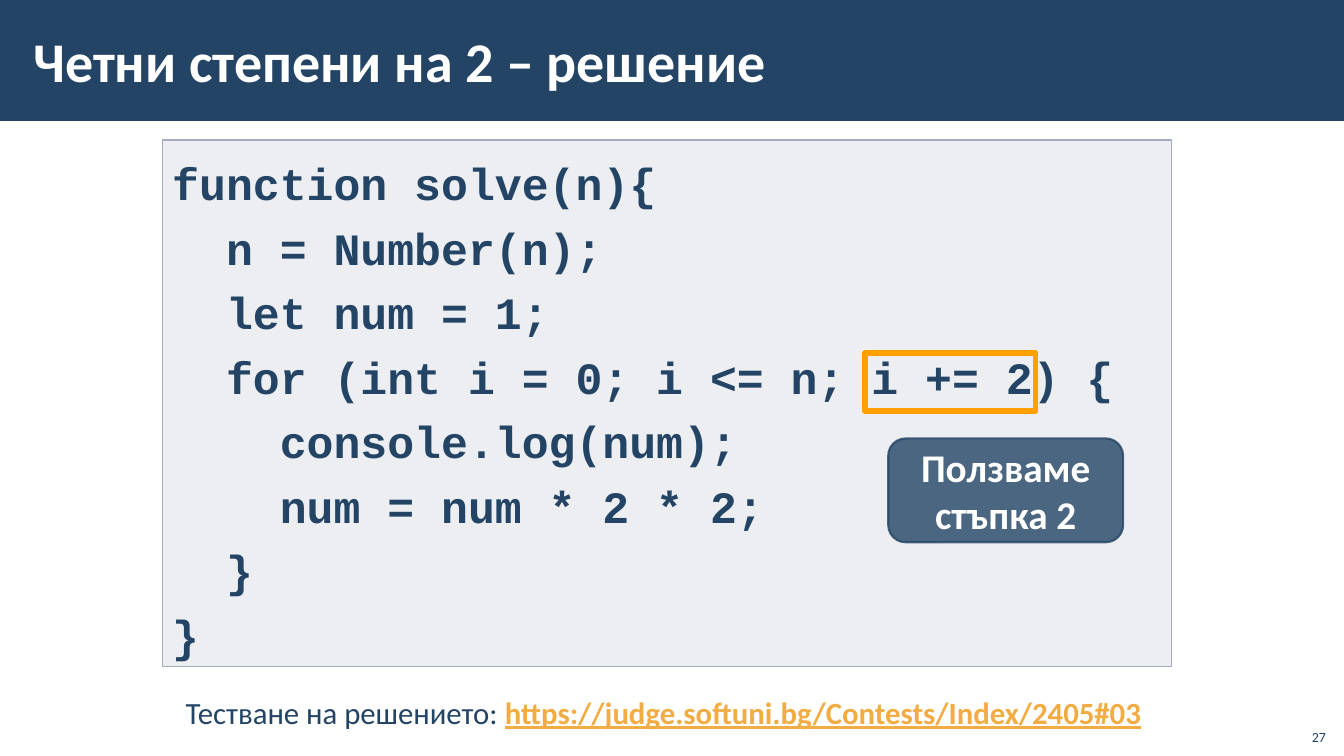
from lxml import etree
from pptx import Presentation
from pptx.dml.color import RGBColor
from pptx.enum.shapes import MSO_SHAPE
from pptx.enum.text import MSO_ANCHOR, MSO_AUTO_SIZE, PP_ALIGN
from pptx.oxml.ns import qn
from pptx.util import Inches, Pt

NAVY, GREY, ORANGE, AMBER, WHITE = "234465", "A3ABBC", "FFA000", "F2AC44", "FFFFFF"


def paint(color_format, color, alpha=100):
    color_format.rgb = RGBColor.from_string(color)
    if alpha < 100:
        color_node = color_format._xFill.find(qn("a:srgbClr"))
        etree.SubElement(color_node, qn("a:alpha"), val=str(alpha * 1000))


def write(paragraph, text, size, color, **style):
    run = paragraph.add_run()
    run.text = text
    for name, value in {"size": Pt(size), "name": "Calibri", **style}.items():
        setattr(run.font, name, value)
    paint(run.font.color, color)


prs = Presentation()
prs.slide_width, prs.slide_height = Inches(13.33), Inches(7.5)
slide = prs.slides.add_slide(prs.slide_layouts[5])
shapes = slide.shapes

# Panels: preset, place, fill, fill opacity, line, line width, line opacity
panels = [
    (MSO_SHAPE.RECTANGLE, (0, 0, 13.33, 1.2), NAVY, 100, None, 0, 100),
    (MSO_SHAPE.RECTANGLE, (1.61, 1.39, 10.01, 5.22), GREY, 20, GREY, 1, 100),
    (MSO_SHAPE.RECTANGLE, (8.58, 3.5, 1.69, 0.58), None, 100, ORANGE, 4, 100),
    (MSO_SHAPE.ROUNDED_RECTANGLE, (8.81, 4.35, 2.33, 1.03), NAVY, 80, NAVY, 1.5, 80),
]
drawn = []
for preset, place, fill, fill_alpha, line, width, line_alpha in panels:
    panel = shapes.add_shape(preset, *map(Inches, place))
    panel.shadow.inherit = False
    if fill:
        panel.fill.solid()
        paint(panel.fill.fore_color, fill, fill_alpha)
    else:
        panel.fill.background()
    if line:
        panel.line.width = Pt(width)
        paint(panel.line.color, line, line_alpha)
    else:
        panel.line.fill.background()
    drawn.append(panel)
header, code, step_frame, callout = drawn

# Title, in front of the header band
title = shapes.title
header._element.addnext(title._element)
title.left, title.top, title.width, title.height = map(Inches, (0.21, 0.11, 10.63, 0.97))
title_frame = title.text_frame
title_frame.margin_left = title_frame.margin_right = Inches(0.12)
title_frame.margin_top = title_frame.margin_bottom = Inches(0.04)
title_frame.vertical_anchor = MSO_ANCHOR.MIDDLE
title_frame.paragraphs[0].alignment = PP_ALIGN.LEFT
write(title_frame.paragraphs[0], "Четни степени на 2 – решение", 40, WHITE, bold=True)

# Code listing
listing = """function solve(n){
  n = Number(n);
  let num = 1;
  for (int i = 0; i <= n; i += 2) {
    console.log(num);
    num = num * 2 * 2;
  }
}"""
code_frame = code.text_frame
code_frame.vertical_anchor = MSO_ANCHOR.TOP
for number, code_line in enumerate(listing.split("\n")):
    paragraph = code_frame.add_paragraph() if number else code_frame.paragraphs[0]
    paragraph.alignment = PP_ALIGN.LEFT
    paragraph.line_spacing = 1.2
    write(paragraph, code_line, 32, NAVY, name="Courier New", bold=True)

# Callout
callout.text_frame.word_wrap = True
callout.text_frame.vertical_anchor = MSO_ANCHOR.MIDDLE
callout.text_frame.paragraphs[0].alignment = PP_ALIGN.CENTER
write(callout.text_frame.paragraphs[0], "Ползваме стъпка 2", 28, WHITE, bold=True)

# Test address
testing = shapes.add_textbox(*map(Inches, (1.21, 6.83, 10.92, 0.47))).text_frame
testing.word_wrap = True
testing.auto_size = MSO_AUTO_SIZE.SHAPE_TO_FIT_TEXT
testing.margin_right = Inches(0.28)
testing.paragraphs[0].alignment = PP_ALIGN.CENTER
write(testing.paragraphs[0], "Тестване на решението: ", 22, NAVY)
write(testing.paragraphs[0], "https://judge.softuni.bg/Contests/Index/2405#03", 22, AMBER,
      bold=True, underline=True)

# Slide number
page = shapes.add_textbox(*map(Inches, (12.85, 7.12, 0.4, 0.32))).text_frame
page.word_wrap = True
page.vertical_anchor = MSO_ANCHOR.BOTTOM
page.paragraphs[0].alignment = PP_ALIGN.RIGHT
write(page.paragraphs[0], "27", 10, NAVY)

prs.save("out.pptx")
